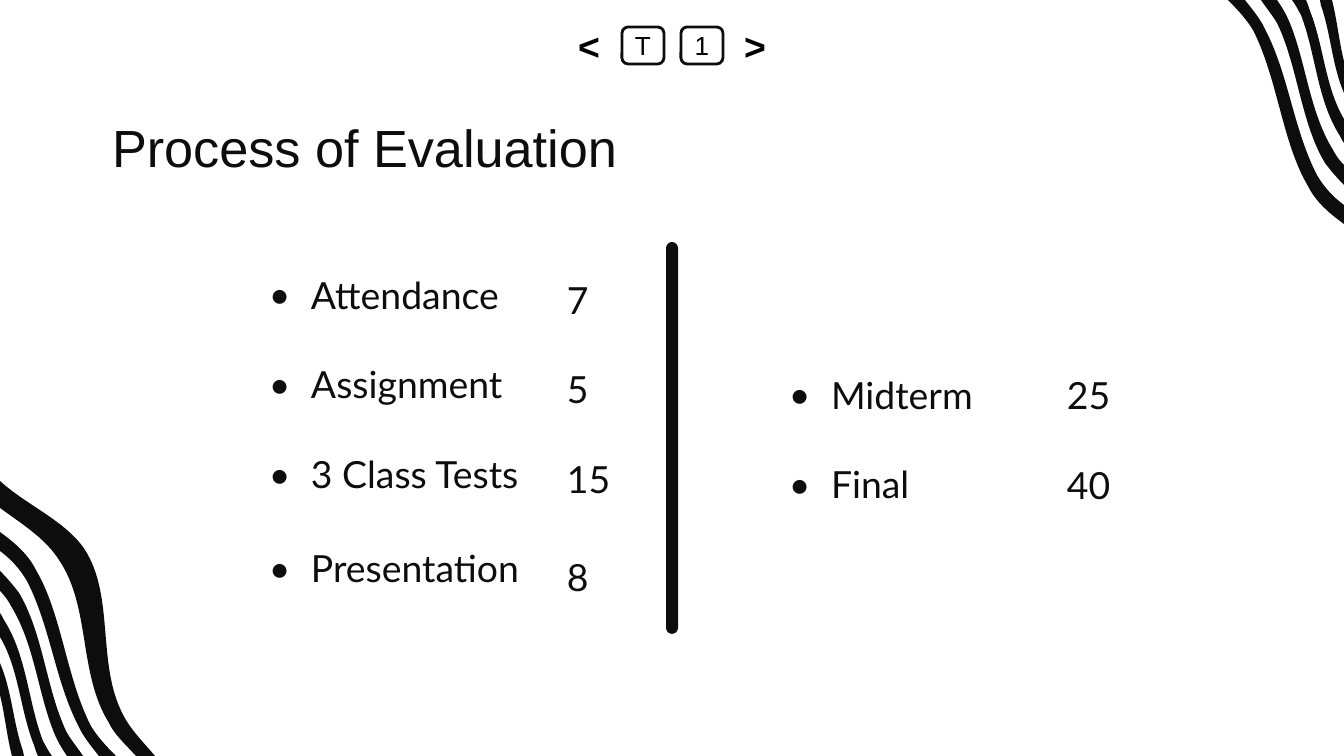
from lxml import etree
from pptx import Presentation
from pptx.dml.color import RGBColor
from pptx.enum.shapes import MSO_SHAPE
from pptx.enum.text import MSO_ANCHOR, MSO_AUTO_SIZE, PP_ALIGN
from pptx.oxml.ns import qn
from pptx.util import Pt

ROUNDED = MSO_SHAPE.ROUNDED_RECTANGLE
LEFT, CENTER = PP_ALIGN.LEFT, PP_ALIGN.CENTER
TOP, MIDDLE = MSO_ANCHOR.TOP, MSO_ANCHOR.MIDDLE
INK = RGBColor(0x0D, 0x0D, 0x0D)
BLACK = RGBColor(0, 0, 0)
WHITE = RGBColor(0xFF, 0xFF, 0xFF)

PX = 914400 / 134.4  # EMU in one px
WIDTH, HEIGHT = 1344, 756
BULLET_INDENT = 42


def write_text(shape, lines, size=20, font="Lato", color=INK, bold=False,
               align=LEFT, anchor=TOP, inset=13, bullet=False, gaps=None,
               line_spacing=None):
    """Fill a shape with one paragraph per line; gaps are points above each."""
    frame = shape.text_frame
    frame.word_wrap = True
    frame.auto_size = MSO_AUTO_SIZE.NONE
    frame.vertical_anchor = anchor
    frame.margin_left = frame.margin_right = round(inset * PX)
    frame.margin_top = frame.margin_bottom = round(inset * PX)
    for index, line in enumerate(lines):
        para = frame.paragraphs[0] if index == 0 else frame.add_paragraph()
        para.alignment = align
        if gaps:
            para.space_before = Pt(gaps[index])
        if line_spacing:
            para.line_spacing = line_spacing
        span = para.add_run()
        span.text = line
        span.font.size = Pt(size)
        span.font.name = font
        span.font.bold = bold
        span.font.color.rgb = color
        if bullet:
            properties = para._p.get_or_add_pPr()
            properties.set("marL", str(round(BULLET_INDENT * PX)))
            properties.set("indent", str(round(-BULLET_INDENT * PX)))
            tint = etree.SubElement(properties, qn("a:buClr"))
            etree.SubElement(tint, qn("a:srgbClr")).set("val", str(color))
            etree.SubElement(properties, qn("a:buFont")).set("typeface", font)
            etree.SubElement(properties, qn("a:buChar")).set("char", "•")


def draw_stripe(page, lower, upper):
    """Draw a stripe between two edges, each a start and three points per curve."""
    corners = [(round(x * PX), round(y * PX)) for x, y in lower + upper]
    builder = page.shapes.build_freeform(*corners[0])
    builder.add_line_segments(corners[1:], close=True)
    stripe = builder.convert_to_shape()
    stripe.shadow.inherit = False
    stripe.fill.solid()
    stripe.fill.fore_color.rgb = INK
    stripe.line.fill.background()
    # Join each three points into one cubic curve, keeping the line between edges
    outline = next(stripe._element.iter(qn("a:path")))
    segments = outline.findall(qn("a:lnTo"))
    del segments[len(lower) - 1]
    for first in range(0, len(segments) - 2, 3):
        curve = etree.Element(qn("a:cubicBezTo"))
        segments[first].addprevious(curve)
        for segment in segments[first:first + 3]:
            curve.append(segment[0])
            outline.remove(segment)


deck = Presentation()
deck.slide_width, deck.slide_height = round(WIDTH * PX), round(HEIGHT * PX)
page = deck.slides.add_slide(deck.slide_layouts[5])
page.background.fill.solid()
page.background.fill.fore_color.rgb = WHITE

# Wavy stripes: lower edge going down, upper edge coming back
stripes = [
    ([(0, 508), (22, 524), (46, 539), (59, 560), (91, 607), (78, 673), (109, 723),
      (114, 734), (125, 744), (136, 756)],
     [(155, 756), (144, 743), (133, 732), (126, 720), (95, 668), (116, 599), (85, 550),
      (66, 521), (26, 505), (0, 481)]),
    ([(0, 551), (11, 559), (20, 569), (27, 581), (51, 628), (55, 681), (79, 727),
      (83, 736), (91, 746), (99, 756)],
     [(116, 756), (106, 746), (97, 736), (91, 726), (66, 677), (62, 614), (36, 570),
      (28, 554), (15, 543), (0, 532)]),
    ([(0, 591), (4, 595), (8, 600), (11, 606), (35, 645), (38, 695), (55, 735),
      (58, 742), (62, 749), (67, 756)],
     [(83, 756), (77, 747), (70, 739), (66, 731), (46, 688), (43, 633), (19, 593),
      (13, 585), (7, 578), (0, 571)]),
    ([(0, 637), (19, 669), (20, 710), (34, 745), (35, 748), (36, 752), (38, 756)],
     [(52, 756), (48, 751), (46, 746), (43, 741), (28, 702), (27, 656), (4, 620),
      (3, 617), (1, 615), (0, 613)]),
    ([(0, 695), (5, 715), (7, 737), (12, 756)],
     [(24, 756), (24, 754), (23, 753), (23, 751), (13, 722), (12, 691), (0, 663)]),
]
# The top right corner repeats all but the widest stripe, turned half round
turned = [[[(WIDTH - x, HEIGHT - y) for x, y in edge] for edge in edges]
          for edges in stripes[1:]]
for lower, upper in stripes + turned:
    draw_stripe(page, lower, upper)

# Navigation keys at the top
for label, left, framed in [("1", 681, True), ("T", 622, True),
                            ("<", 568, False), (">", 734, False)]:
    key = page.shapes.add_shape(
        ROUNDED, *(round(v * PX) for v in (left, 27, 42, 37)))
    key.shadow.inherit = False
    key.fill.solid()
    key.fill.fore_color.rgb = WHITE
    if framed:
        key.line.color.rgb = INK
        key.line.width = Pt(1.5)
    else:
        key.line.fill.background()
    write_text(key, [label], size=14 if framed else 20, font="Arial", color=BLACK,
               bold=not framed, align=CENTER, anchor=MIDDLE, inset=0)

# Title
title = page.shapes.title
title.left, title.top, title.width, title.height = (
    round(v * PX) for v in (99, 110, 1087, 85))
write_text(title, ["Process of Evaluation"], size=28, font="Arial",
           anchor=MIDDLE, line_spacing=0.8)

# Divider between the columns
divider = page.shapes.add_shape(
    ROUNDED, *(round(v * PX) for v in (666, 242, 12, 392)))
divider.adjustments[0] = 0.5
divider.shadow.inherit = False
divider.fill.solid()
divider.fill.fore_color.rgb = INK
divider.line.fill.background()

# Evaluation items and their marks
columns = [
    ((256, 259, 341, 349), ["Attendance", "Assignment", "3 Class Tests", "Presentation"],
     True, [0, 24, 24, 26.4]),
    ((554, 264, 341, 349), ["7", "5", "15", "8"], False, [0, 24, 24, 28.4]),
    ((776, 359, 333, 140), ["Midterm", "Final"], True, [0, 24]),
    ((1054, 359, 341, 175), ["25", "40"], False, [0, 24]),
]
for place, lines, bullet, gaps in columns:
    box = page.shapes.add_textbox(*(round(v * PX) for v in place))
    write_text(box, lines, bullet=bullet, gaps=gaps)

deck.save("out.pptx")
